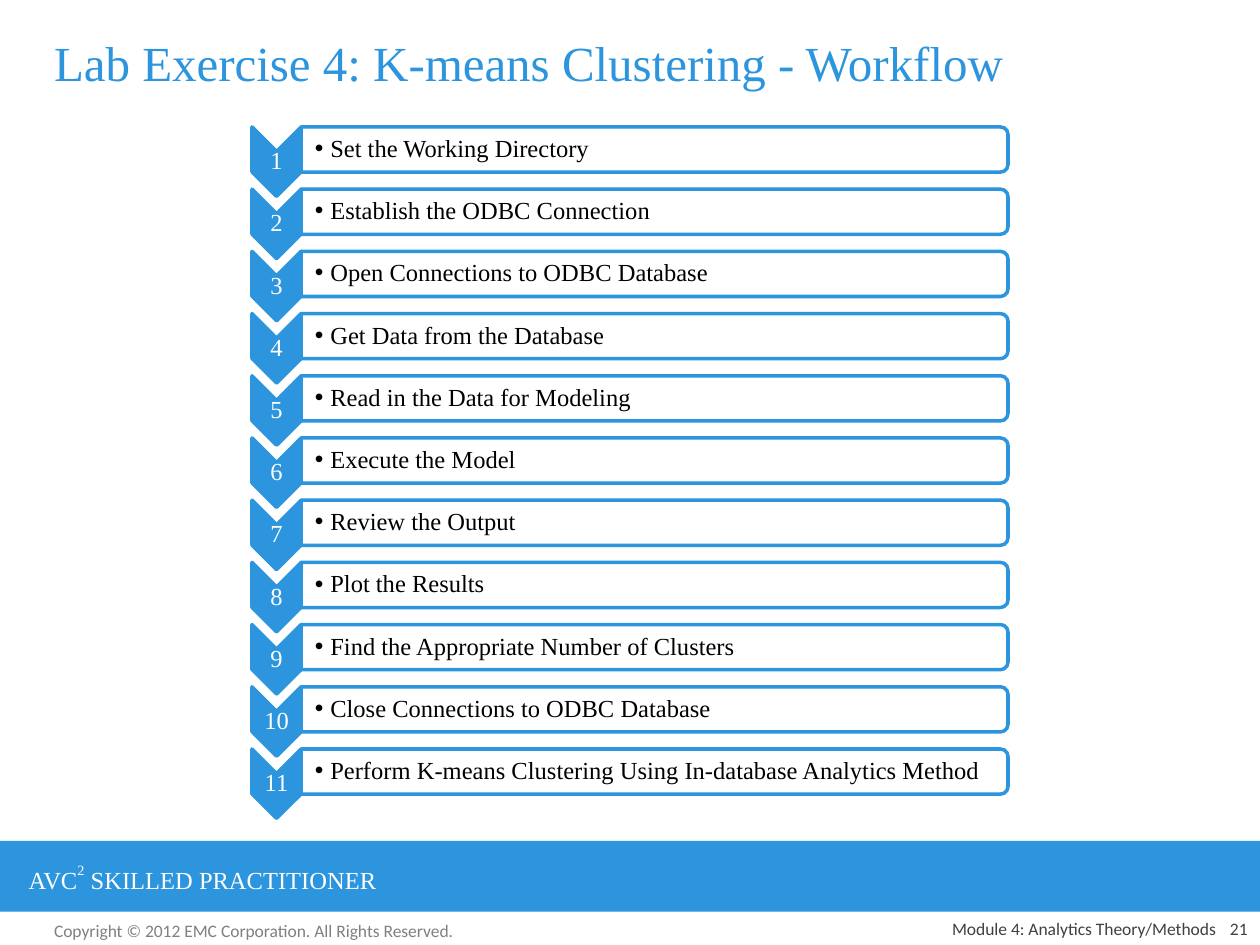
from dataclasses import dataclass

import pptx
import pptx.dml.color
import pptx.enum.shapes
import pptx.enum.text
import pptx.oxml.ns
import pptx.util
from lxml import etree

Cm = pptx.util.Cm
Pt = pptx.util.Pt
SHAPE = pptx.enum.shapes.MSO_SHAPE
ALIGN = pptx.enum.text.PP_ALIGN
ANCHOR = pptx.enum.text.MSO_ANCHOR
qn = pptx.oxml.ns.qn


@dataclass(frozen=True)
class Theme:
    accent: str = "2C95DD"
    paper: str = "FFFFFF"
    ink: str = "000000"
    copyright: str = "808080"
    footer: str = "404040"
    serif: str = "Times New Roman"
    sans: str = "Calibri"
    title_size: int = 28
    body_size: int = 14
    footer_size: int = 10
    outline: int = 2


STEPS = [
    "Set the Working Directory",
    "Establish the ODBC Connection",
    "Open Connections to ODBC Database",
    "Get Data from the Database",
    "Read in the Data for Modeling",
    "Execute the Model",
    "Review the Output",
    "Plot the Results",
    "Find the Appropriate Number of Clusters",
    "Close Connections to ODBC Database",
    "Perform K-means Clustering Using In-database Analytics Method",
]


def rgb(color):
    return pptx.dml.color.RGBColor.from_string(color)


def add_run(paragraph, text, *, font, size, color, baseline=None):
    """Append formatted text; baseline is a raise in percent."""
    run = paragraph.add_run()
    run.text = text
    run.font.name = font
    run.font.size = Pt(size)
    run.font.color.rgb = rgb(color)
    if baseline:
        run.font._element.set("baseline", str(baseline * 1000))


def add_bullet(paragraph, indent):
    properties = paragraph._p.get_or_add_pPr()
    properties.set("marL", str(indent))
    properties.set("indent", str(-indent))
    etree.SubElement(properties, qn("a:buFont")).set("typeface", "Arial")
    etree.SubElement(properties, qn("a:buChar")).set("char", "•")


class SlideBuilder:
    def __init__(self, slide, theme):
        self.slide = slide
        self.theme = theme

    def text(self, left, top, width, height, parts, *, font=None, size=None,
             color=None, align=ALIGN.LEFT, anchor=ANCHOR.TOP, insets=None,
             spacing=None, bullet_indent=None):
        """Add one paragraph; parts is a string or (text, baseline) pairs."""
        box = self.slide.shapes.add_textbox(Cm(left), Cm(top), Cm(width), Cm(height))
        frame = box.text_frame
        frame.word_wrap = True
        frame.vertical_anchor = anchor
        if insets:
            (frame.margin_left, frame.margin_top,
             frame.margin_right, frame.margin_bottom) = map(Cm, insets)
        paragraph = frame.paragraphs[0]
        paragraph.alignment = align
        if spacing:
            paragraph.line_spacing = spacing
        if bullet_indent:
            paragraph.level = 1
            add_bullet(paragraph, Cm(bullet_indent))
        for text, baseline in [(parts, None)] if isinstance(parts, str) else parts:
            add_run(paragraph, text, font=font or self.theme.serif,
                    size=size or self.theme.body_size,
                    color=color or self.theme.ink, baseline=baseline)

    def shape(self, preset, left, top, width, height, fill, *,
              outlined=True, turned=False, opacity=None):
        """Add a preset inside the given visible bounds, turned by 90° if asked."""
        if turned:
            left, top = left + (width - height) / 2, top + (height - width) / 2
            width, height = height, width
        shape = self.slide.shapes.add_shape(
            preset, Cm(left), Cm(top), Cm(width), Cm(height))
        shape.rotation = 90 if turned else 0
        shape.shadow.inherit = False
        shape.fill.solid()
        shape.fill.fore_color.rgb = rgb(fill)
        if opacity:
            color = shape._element.spPr.find(qn("a:solidFill"))[0]
            etree.SubElement(color, qn("a:alpha")).set("val", str(opacity * 1000))
        if outlined:
            shape.line.color.rgb = rgb(self.theme.accent)
            shape.line.width = Pt(self.theme.outline)
        else:
            shape.line.fill.background()

    def step(self, number, label, top):
        theme = self.theme
        marker_left, marker_width, marker_height = 5.08, 0.99, 1.4
        bar_left, bar_width, bar_height = 6.07, 14.25, 0.91
        self.shape(SHAPE.CHEVRON, marker_left, top, marker_width, marker_height,
                   theme.accent, turned=True)
        self.text(marker_left, top, marker_width, marker_height, str(number),
                  color=theme.paper, align=ALIGN.CENTER, anchor=ANCHOR.MIDDLE,
                  insets=(0.02,) * 4, spacing=0.9)
        self.shape(SHAPE.ROUND_2_SAME_RECTANGLE, bar_left, top, bar_width,
                   bar_height, theme.paper, turned=True, opacity=90)
        self.text(bar_left, top, bar_width, bar_height, label,
                  anchor=ANCHOR.MIDDLE, insets=(0.28, 0.02, 0.02, 0.02),
                  spacing=0.9, bullet_indent=0.31)

    def footer(self, left, width, text, color, **layout):
        self.text(left, 18.42, width, 0.63, text, font=self.theme.sans,
                  size=self.theme.footer_size, color=color, **layout)


def main():
    deck = pptx.Presentation()
    deck.slide_width, deck.slide_height = Cm(25.4), Cm(19.05)
    theme = Theme()
    page = SlideBuilder(deck.slides.add_slide(deck.slide_layouts[6]), theme)

    page.footer(0.84, 8.69, "Copyright © 2012 EMC Corporation. All Rights Reserved.",
                theme.copyright)
    page.shape(SHAPE.RECTANGLE, 0, 16.95, 25.4, 1.43, theme.accent, outlined=False)
    page.text(0.33, 17.25, 9.4, 0.86,
              [("AVC", None), ("2", 56), (" SKILLED PRACTITIONER", None)],
              color=theme.paper)
    page.text(0.84, 0.2, 23.5, 2.11, "Lab Exercise 4: K-means Clustering - Workflow",
              size=theme.title_size, color=theme.accent, anchor=ANCHOR.MIDDLE)
    for left, width, text in [(13.13, 11.63, "Module 4: Analytics Theory/Methods"),
                              (24.13, 1.27, "21")]:
        page.footer(left, width, text, theme.footer,
                    align=ALIGN.RIGHT, anchor=ANCHOR.BOTTOM)

    first_top, last_top = 2.56, 15.1
    pitch = (last_top - first_top) / (len(STEPS) - 1)
    for index, label in enumerate(STEPS):
        page.step(index + 1, label, first_top + index * pitch)

    deck.save("out.pptx")


if __name__ == "__main__":
    main()
